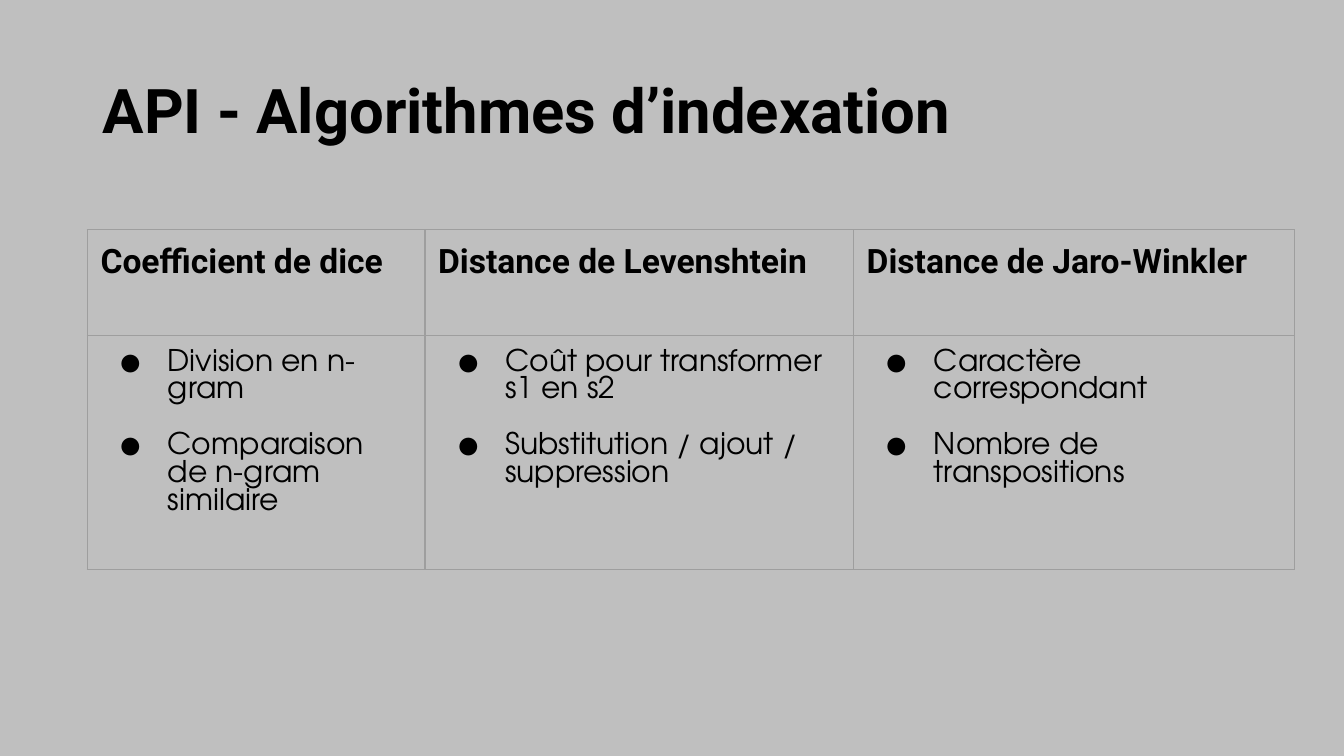
from lxml.etree import SubElement
from pptx import Presentation
from pptx.dml.color import RGBColor
from pptx.enum.text import MSO_ANCHOR as Anchor
from pptx.oxml.ns import qn
from pptx.util import Cm, Pt

COLORS = {"background": "BFBFBF", "text": "000000", "border": "9E9E9E"}
HEADING_FONT = "Roboto"
BODY_FONT = "TeX Gyre Adventor"
ALGORITHMS = [
    ("Coefficient de dice", 6.38,
     ["Division en n-gram", "Comparaison de n-gram similaire"]),
    ("Distance de Levenshtein", 8.1,
     ["Coût pour transformer s1 en s2", "Substitution / ajout / suppression"]),
    ("Distance de Jaro-Winkler", 8.33,
     ["Caractère correspondant", "Nombre de transpositions"]),
]
ROW_HEIGHTS = [2.01, 4.37]


def add_span(para, text, font, size, bold=False):
    span = para.add_run()
    span.text = text
    span.font.name = font
    span.font.size = Pt(size)
    span.font.bold = bold
    span.font.color.rgb = RGBColor.from_string(COLORS["text"])


def add_bullet(para):
    props = para._p.get_or_add_pPr()
    props.set("marL", str(Cm(1.27)))
    props.set("indent", str(Cm(-0.91)))
    color = SubElement(props, qn("a:buClr"))
    SubElement(color, qn("a:srgbClr"), val=COLORS["text"])
    SubElement(props, qn("a:buFont"), typeface=BODY_FONT)
    SubElement(props, qn("a:buChar"), char="●")


deck = Presentation()
deck.slide_width = Cm(25.4)
deck.slide_height = Cm(14.29)
page = deck.slides.add_slide(deck.slide_layouts[6])
page.background.fill.solid()
page.background.fill.fore_color.rgb = RGBColor.from_string(COLORS["background"])

title = page.shapes.add_textbox(Cm(1.75), Cm(0.76), Cm(21.9), Cm(2.77))
frame = title.text_frame
frame.word_wrap = True
frame.vertical_anchor = Anchor.MIDDLE
frame.margin_left = frame.margin_right = Cm(0.19)
frame.margin_top = frame.margin_bottom = Cm(0.1)
frame.paragraphs[0].line_spacing = 0.9
add_span(frame.paragraphs[0], "API - Algorithmes d’indexation", HEADING_FONT, 33, True)

table_width = sum(width for _, width, _ in ALGORITHMS)
table = page.shapes.add_table(
    2, len(ALGORITHMS), Cm(1.65), Cm(4.34), Cm(table_width), Cm(sum(ROW_HEIGHTS))
).table
for row, height in zip(table.rows, ROW_HEIGHTS):
    row.height = Cm(height)

for cell in table.iter_cells():
    cell.margin_left = cell.margin_right = Cm(0.25)
    cell.margin_top = cell.margin_bottom = Cm(0.25)
    cell.vertical_anchor = Anchor.TOP
    props = cell._tc.get_or_add_tcPr()
    for side in ("lnL", "lnR", "lnT", "lnB"):
        border = SubElement(props, qn(f"a:{side}"), w=str(Pt(0.75)))
        paint = SubElement(border, qn("a:solidFill"))
        SubElement(paint, qn("a:srgbClr"), val=COLORS["border"])
    cell.fill.background()

for column, (name, width, points) in enumerate(ALGORITHMS):
    table.columns[column].width = Cm(width)
    header = table.cell(0, column).text_frame.paragraphs[0]
    add_span(header, name, HEADING_FONT, 18, True)
    body = table.cell(1, column).text_frame
    for index, point in enumerate(points):
        para = body.add_paragraph() if index else body.paragraphs[0]
        add_bullet(para)
        if index:
            para.space_before = Pt(15)
        add_span(para, point, BODY_FONT, 16)

deck.save("out.pptx")
